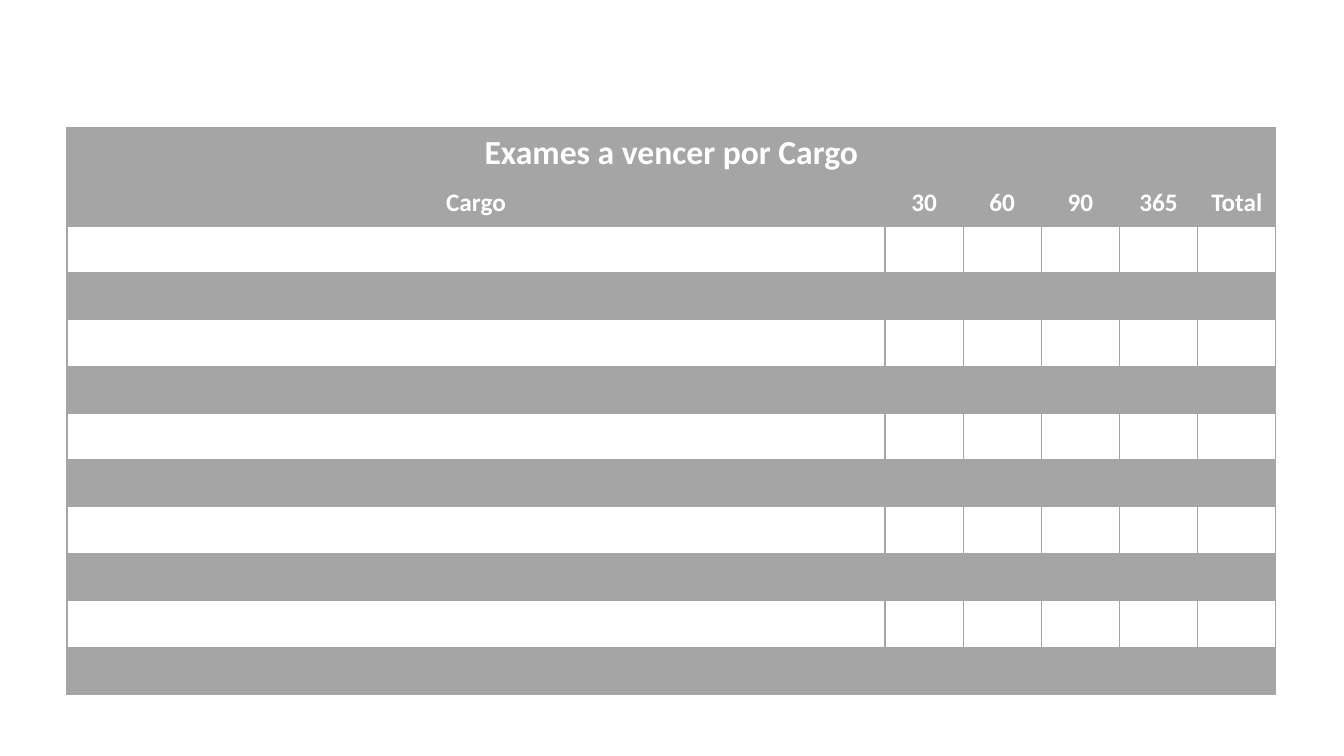
import pptx
import pptx.util
import pptx.dml.color
import pptx.enum.shapes
import pptx.enum.text
import pptx.oxml.ns
import lxml.etree

PX_PER_INCH = 100.8
GRAY = "A5A5A5"
WHITE = "FFFFFF"
HEADINGS = ["Cargo", "30", "60", "90", "365", "Total"]
BODY_ROWS = 10
BORDER_SIDES = ["lnL", "lnR", "lnT", "lnB"]


def px(length):
    return pptx.util.Emu(round(length * 914400 / PX_PER_INCH))


def set_fill(fill, color, opacity=100):
    """Fill with a hex colour, at an opacity in percent."""
    fill.solid()
    fill.fore_color.rgb = pptx.dml.color.RGBColor.from_string(color)
    if opacity < 100:
        color_element = fill._xPr.find(".//" + pptx.oxml.ns.qn("a:srgbClr"))
        alpha = lxml.etree.SubElement(color_element, pptx.oxml.ns.qn("a:alpha"))
        alpha.set("val", str(opacity * 1000))


presentation = pptx.Presentation()
presentation.slide_width = px(1344)
presentation.slide_height = px(756)
slide = presentation.slides.add_slide(presentation.slide_layouts[6])

# Translucent white panel behind the table
panel = slide.shapes.add_shape(
    pptx.enum.shapes.MSO_SHAPE.RECTANGLE, px(45), px(95), px(1253), px(633))
panel.shadow.inherit = False
set_fill(panel.fill, WHITE, 90)
set_fill(panel.line.fill, WHITE)
panel.line.width = pptx.util.Pt(1)

# Table grid: title row, heading row, then equal body rows
row_heights = [px(51), px(47)] + [px(468) // BODY_ROWS] * BODY_ROWS
column_widths = [px(818)] + [px(391) // 5] * 5
frame = slide.shapes.add_table(
    len(row_heights), len(column_widths), px(67), px(128),
    sum(column_widths), sum(row_heights))
table = frame.table
table.first_row = False
table.horz_banding = False
for row, height in zip(table.rows, row_heights):
    row.height = height
for column, width in zip(table.columns, column_widths):
    column.width = width
table.cell(0, 0).merge(table.cell(0, len(HEADINGS) - 1))

# Borders and fills
for row_index, row in enumerate(table.rows):
    for cell in row.cells:
        properties = cell._tc.get_or_add_tcPr()
        for side in BORDER_SIDES:
            border = lxml.etree.SubElement(properties, pptx.oxml.ns.qn("a:" + side), w="12700")
            border_fill = lxml.etree.SubElement(border, pptx.oxml.ns.qn("a:solidFill"))
            lxml.etree.SubElement(border_fill, pptx.oxml.ns.qn("a:srgbClr"), val=GRAY)
        if row_index < 2:
            set_fill(cell.fill, GRAY)
        elif row_index % 2:
            set_fill(cell.fill, GRAY, 20)
        else:
            cell.fill.background()

# Title and headings
labels = [(0, 0, "Exames a vencer por Cargo", 24)]
labels += [(1, index, heading, 18) for index, heading in enumerate(HEADINGS)]
for row_index, column_index, text, size in labels:
    cell = table.cell(row_index, column_index)
    cell.vertical_anchor = pptx.enum.text.MSO_ANCHOR.MIDDLE
    paragraph = cell.text_frame.paragraphs[0]
    paragraph.alignment = pptx.enum.text.PP_ALIGN.CENTER
    run = paragraph.add_run()
    run.text = text
    run.font.name = "Calibri"
    run.font.size = pptx.util.Pt(size)
    run.font.bold = True
    set_fill(run.font.fill, WHITE)

presentation.save("out.pptx")
